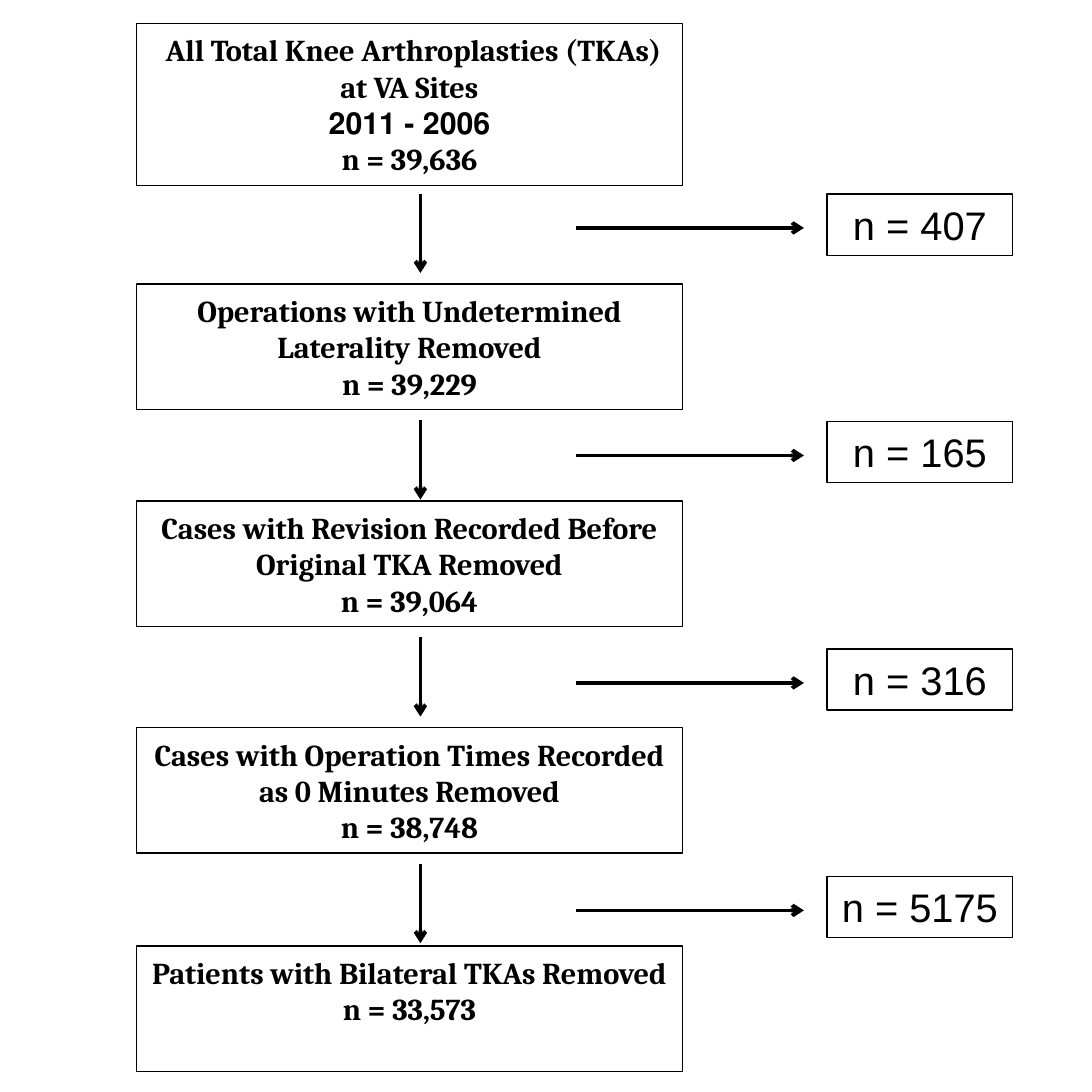
from lxml.etree import SubElement
from pptx import Presentation
from pptx.dml.color import RGBColor
from pptx.enum.shapes import MSO_CONNECTOR as Connector, MSO_SHAPE as Shape
from pptx.enum.text import MSO_ANCHOR as Anchor, MSO_AUTO_SIZE as AutoSize, PP_ALIGN as Align
from pptx.oxml.ns import qn
from pptx.util import Inches, Pt

COLORS = {"ink": "000000"}
STAGE_FONT = {"name": "Cambria", "size": Pt(16), "bold": True}
COUNT_FONT = {"name": "Arial", "size": Pt(21), "bold": False}
STAGE_MARGINS = (0.11, 0.06)
COUNT_MARGINS = (0.1, 0.05)
ROW_STEP = 5 / 3

STAGES = [
    (0.17, 1.19, ["All Total Knee Arthroplasties (TKAs) ", "at VA Sites",
                  "2006 - 2011", "n = 39,636"], True),
    (2.08, 0.92, ["Operations with Undetermined Laterality Removed", "n = 39,229"], False),
    (3.67, 0.92, ["Cases with Revision Recorded Before Original TKA Removed",
                  "n = 39,064"], False),
    (5.33, 0.92, ["Cases with Operation Times Recorded as 0 Minutes Removed",
                  "n = 38,748"], False),
    (6.93, 0.92, ["Patients with Bilateral TKAs Removed", "n = 33,573"], False),
]
DOWN_ARROW_TOPS = [1.42, 3.08, 4.67, 6.33]
REMOVED_COUNTS = ["n = 407", "n = 165", "n = 316", "n = 5175"]


def ink():
    return RGBColor.from_string(COLORS["ink"])


def set_values(target, values):
    for name, value in values.items():
        setattr(target, name, value)


def add_line_of_text(para, text, font, right_to_left):
    para.alignment = Align.CENTER
    if right_to_left:
        para._p.get_or_add_pPr().set("rtl", "1")
    span = para.add_run()
    span.text = text
    set_values(span.font, font)
    span.font.color.rgb = ink()


def add_box(page, place, lines, font, margins, right_to_left=False):
    box = page.shapes.add_shape(Shape.RECTANGLE, *map(Inches, place))
    box.shadow.inherit = False
    box.fill.background()
    box.line.color.rgb = ink()
    box.line.width = Pt(0.75)
    side, end = map(Inches, margins)
    frame = box.text_frame
    set_values(frame, {
        "word_wrap": True, "auto_size": AutoSize.NONE, "vertical_anchor": Anchor.TOP,
        "margin_left": side, "margin_right": side, "margin_top": end, "margin_bottom": end,
    })
    for index, text in enumerate(lines):
        para = frame.add_paragraph() if index else frame.paragraphs[0]
        add_line_of_text(para, text, font, right_to_left)


def add_arrow(page, *ends):
    arrow = page.shapes.add_connector(Connector.STRAIGHT, *map(Inches, ends))
    arrow.line.color.rgb = ink()
    arrow.line.width = Pt(2)
    SubElement(arrow.line._get_or_add_ln(), qn("a:tailEnd"), type="arrow")
    SubElement(arrow._element.spPr, qn("a:effectLst"))


def main():
    deck = Presentation()
    deck.slide_width = deck.slide_height = Inches(8)
    page = deck.slides.add_slide(deck.slide_layouts[6])

    for top, height, lines, right_to_left in STAGES:
        add_box(page, (1, top, 4, height), lines, STAGE_FONT, STAGE_MARGINS, right_to_left)
    for top in DOWN_ARROW_TOPS:
        add_arrow(page, 3.08, top, 3.08, top + 0.58)
    for row, count in enumerate(REMOVED_COUNTS):
        offset = row * ROW_STEP
        add_arrow(page, 4.22, 1.67 + offset, 5.89, 1.67 + offset)
        add_box(page, (6.06, 1.42 + offset, 1.36, 0.45), [count], COUNT_FONT, COUNT_MARGINS)

    deck.save("out.pptx")


if __name__ == "__main__":
    main()
